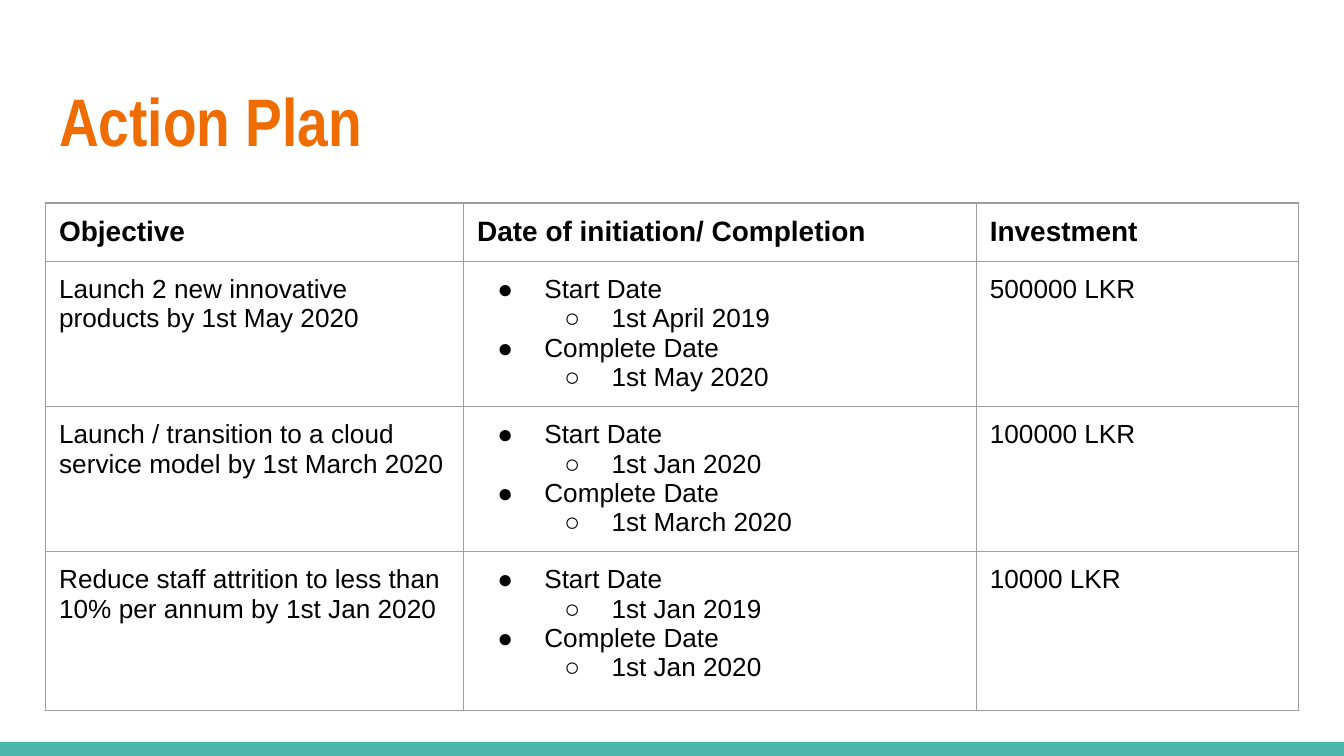
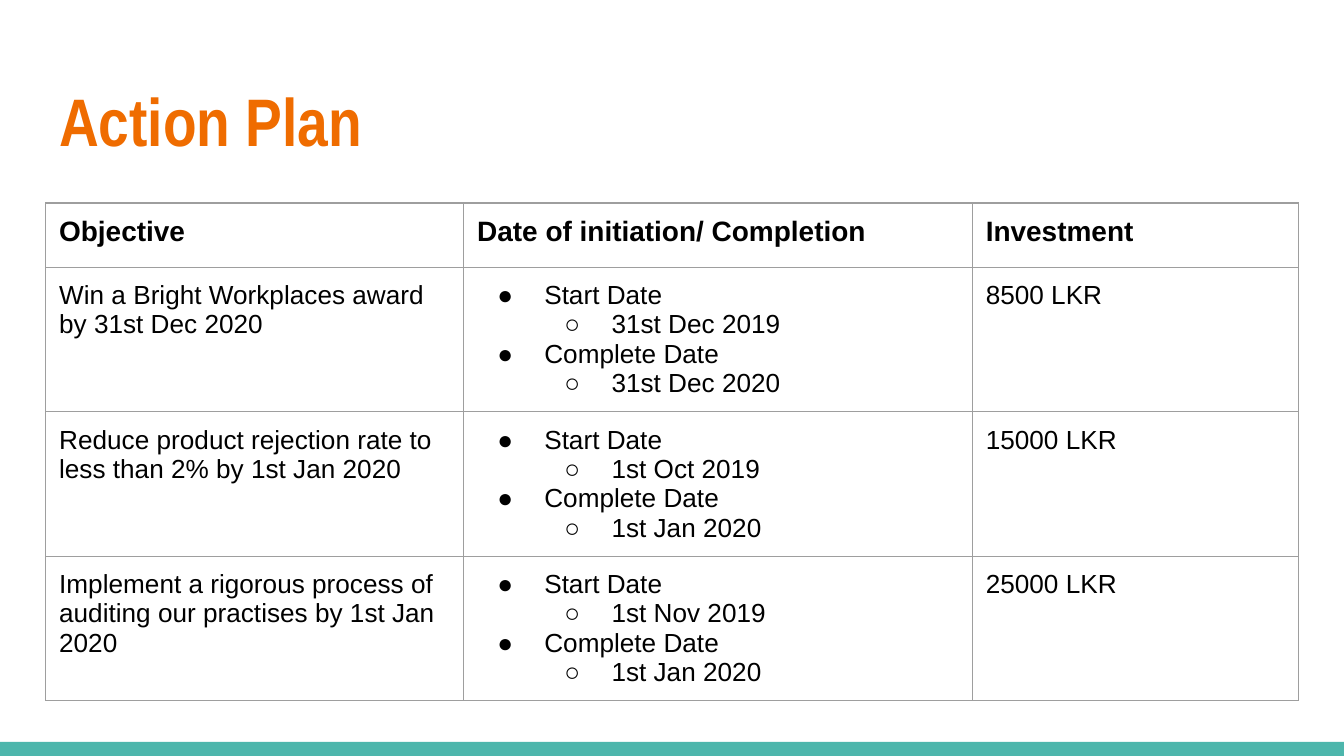
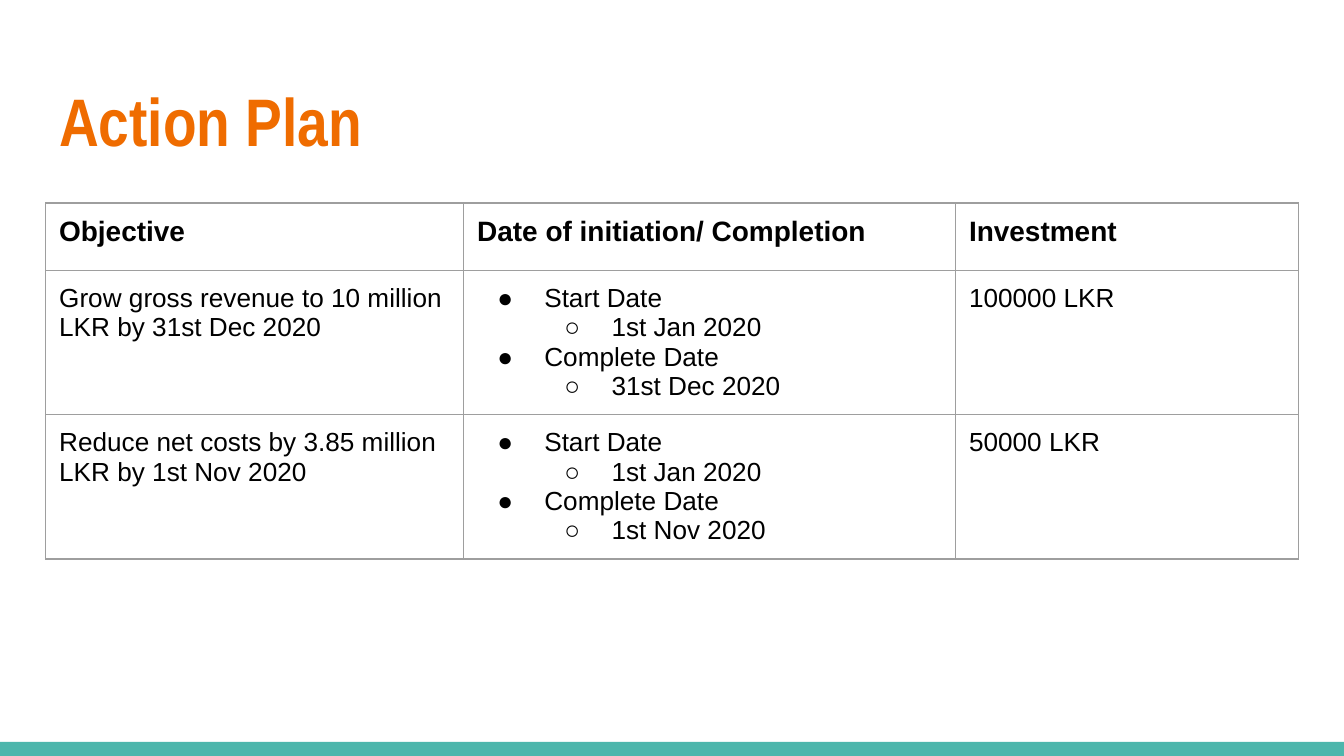
from dataclasses import dataclass
from typing import Any

from lxml import etree
from pptx import Presentation
from pptx.dml.color import RGBColor
from pptx.enum.shapes import MSO_SHAPE
from pptx.enum.text import MSO_ANCHOR, MSO_AUTO_SIZE, PP_ALIGN
from pptx.oxml.ns import qn
from pptx.util import Inches, Pt

RECTANGLE = MSO_SHAPE.RECTANGLE
TOP = MSO_ANCHOR.TOP
LEFT = PP_ALIGN.LEFT
NO_FIT = MSO_AUTO_SIZE.NONE

SLIDE_WIDTH = Inches(10)
SLIDE_HEIGHT = SLIDE_WIDTH * 9 // 16
GRID_COLUMNS = 100
TITLE_ONLY = 5


@dataclass(frozen=True)
class TextStyle:
    size: float
    font: str
    color: str
    bold: bool = False


@dataclass(frozen=True)
class Theme:
    background: str = "FFFFFF"
    band: str = "4DB6AC"
    border: str = "9E9E9E"
    border_width: float = 0.75
    title: TextStyle = TextStyle(36, "Arial Narrow", "EF6C00", True)
    header: TextStyle = TextStyle(15, "Arial", "000000", True)
    body: TextStyle = TextStyle(14, "Arial", "000000")


@dataclass(frozen=True)
class Area:
    column: float
    row: float
    columns: float
    rows: float


@dataclass(frozen=True)
class Objective:
    goal: str
    start: str
    complete: str
    investment: str


@dataclass(frozen=True)
class PlanPage:
    column_spans: tuple[float, ...]
    row_spans: tuple[float, ...]
    objectives: tuple[Objective, ...]


THEME = Theme()
TITLE = "Action Plan"
HEADERS = ("Objective", "Date of initiation/ Completion", "Investment")
TITLE_AREA = Area(3.4, 4.9, 93.2, 7.7)
BAND_AREA = Area(0, 55.2, 100, 1.1)
TABLE_COLUMN, TABLE_ROW = 3.4, 15.1
INSET = 1
MARGINS = ("margin_left", "margin_right", "margin_top", "margin_bottom")
BORDERS = ("a:lnL", "a:lnR", "a:lnT", "a:lnB")
BULLETS = ("●", "○")
BULLET_STEP = 5
BULLET_HANG = 3.5

PAGES = (
    PlanPage((31.1, 38.15, 23.95), (4.35, 10.8, 10.8, 11.8), (
        Objective("Launch 2 new innovative products by 1st May 2020",
                  "1st April 2019", "1st May 2020", "500000 LKR"),
        Objective("Launch / transition to a cloud service model by 1st March 2020",
                  "1st Jan 2020", "1st March 2020", "100000 LKR"),
        Objective("Reduce staff attrition to less than 10% per annum by 1st Jan 2020",
                  "1st Jan 2019", "1st Jan 2020", "10000 LKR"),
    )),
    PlanPage((31.1, 37.85, 24.25), (4.8, 8.7, 8.7, 8.7), (
        Objective("Win a Bright Workplaces award by 31st Dec 2020",
                  "31st Dec 2019", "31st Dec 2020", "8500 LKR"),
        Objective("Reduce product rejection rate to less than 2% by 1st Jan 2020",
                  "1st Oct 2019", "1st Jan 2020", "15000 LKR"),
        Objective("Implement a rigorous process of auditing our practises by 1st Jan 2020",
                  "1st Nov 2019", "1st Jan 2020", "25000 LKR"),
    )),
    PlanPage((31.1, 36.6, 25.5), (5, 8.7, 8.7), (
        Objective("Grow gross revenue to 10 million LKR by 31st Dec 2020",
                  "1st Jan 2020", "31st Dec 2020", "100000 LKR"),
        Objective("Reduce net costs by 3.85 million LKR by 1st Nov 2020",
                  "1st Jan 2020", "1st Nov 2020", "50000 LKR"),
    )),
)


def grid(units: float) -> int:
    return round(units * SLIDE_WIDTH / GRID_COLUMNS)


def set_attributes(target: Any, values: dict[str, Any]) -> None:
    for name, value in values.items():
        setattr(target, name, value)


def set_margins(target: Any) -> None:
    set_attributes(target, dict.fromkeys(MARGINS, grid(INSET)))


def place(area: Area) -> dict[str, int]:
    return {"left": grid(area.column), "top": grid(area.row),
            "width": grid(area.columns), "height": grid(area.rows)}


def add_span(para: Any, text: str, style: TextStyle) -> None:
    span = para.add_run()
    span.text = text
    set_attributes(span.font, {"size": Pt(style.size), "name": style.font, "bold": style.bold})
    span.font.color.rgb = RGBColor.from_string(style.color)


def add_color(parent: Any, color: str) -> None:
    etree.SubElement(parent, qn("a:srgbClr"), val=color)


def set_bullet(para: Any, level: int) -> None:
    para.level = level
    properties = para._p.get_or_add_pPr()
    properties.set("marL", str(grid(BULLET_STEP * (level + 1))))
    properties.set("indent", str(-grid(BULLET_HANG)))
    add_color(etree.SubElement(properties, qn("a:buClr")), THEME.body.color)
    etree.SubElement(properties, qn("a:buFont"), typeface=THEME.body.font)
    etree.SubElement(properties, qn("a:buChar"), char=BULLETS[level])


def format_cell(cell: Any) -> None:
    set_margins(cell)
    cell.vertical_anchor = TOP
    properties = cell._tc.get_or_add_tcPr()
    for border in BORDERS:
        line = etree.SubElement(properties, qn(border), w=str(Pt(THEME.border_width)))
        add_color(etree.SubElement(line, qn("a:solidFill")), THEME.border)
    cell.fill.background()


def fill_cell(cell: Any, text: str, style: TextStyle) -> None:
    format_cell(cell)
    add_span(cell.text_frame.paragraphs[0], text, style)


def fill_dates(cell: Any, objective: Objective) -> None:
    format_cell(cell)
    frame = cell.text_frame
    entries = (("Start Date", 0), (objective.start, 1),
               ("Complete Date", 0), (objective.complete, 1))
    for index, (text, level) in enumerate(entries):
        para = frame.add_paragraph() if index else frame.paragraphs[0]
        set_bullet(para, level)
        add_span(para, text, THEME.body)


def add_band(page: Any) -> None:
    band = page.shapes.add_shape(RECTANGLE, **place(BAND_AREA))
    band.shadow.inherit = False
    band.fill.solid()
    band.fill.fore_color.rgb = RGBColor.from_string(THEME.band)
    band.line.fill.background()


def format_title(page: Any) -> None:
    box = page.shapes.title
    set_attributes(box, place(TITLE_AREA))
    frame = box.text_frame
    set_attributes(frame, {"word_wrap": True, "auto_size": NO_FIT, "vertical_anchor": TOP})
    set_margins(frame)
    para = frame.paragraphs[0]
    para.alignment = LEFT
    add_span(para, TITLE, THEME.title)


def add_plan_table(page: Any, plan: PlanPage) -> None:
    area = Area(TABLE_COLUMN, TABLE_ROW, sum(plan.column_spans), sum(plan.row_spans))
    table = page.shapes.add_table(len(plan.row_spans), len(HEADERS), **place(area)).table
    set_attributes(table, {"first_row": False, "horz_banding": False})
    for column, units in zip(table.columns, plan.column_spans):
        column.width = grid(units)
    for row, units in zip(table.rows, plan.row_spans):
        row.height = grid(units)
    for index, header in enumerate(HEADERS):
        fill_cell(table.cell(0, index), header, THEME.header)
    for index, objective in enumerate(plan.objectives, start=1):
        fill_cell(table.cell(index, 0), objective.goal, THEME.body)
        fill_dates(table.cell(index, 1), objective)
        fill_cell(table.cell(index, 2), objective.investment, THEME.body)


def build() -> None:
    deck = Presentation()
    set_attributes(deck, {"slide_width": SLIDE_WIDTH, "slide_height": SLIDE_HEIGHT})
    background = deck.slide_master.background.fill
    background.solid()
    background.fore_color.rgb = RGBColor.from_string(THEME.background)
    for plan in PAGES:
        page = deck.slides.add_slide(deck.slide_layouts[TITLE_ONLY])
        add_band(page)
        format_title(page)
        add_plan_table(page, plan)
    deck.save("out.pptx")


build()
